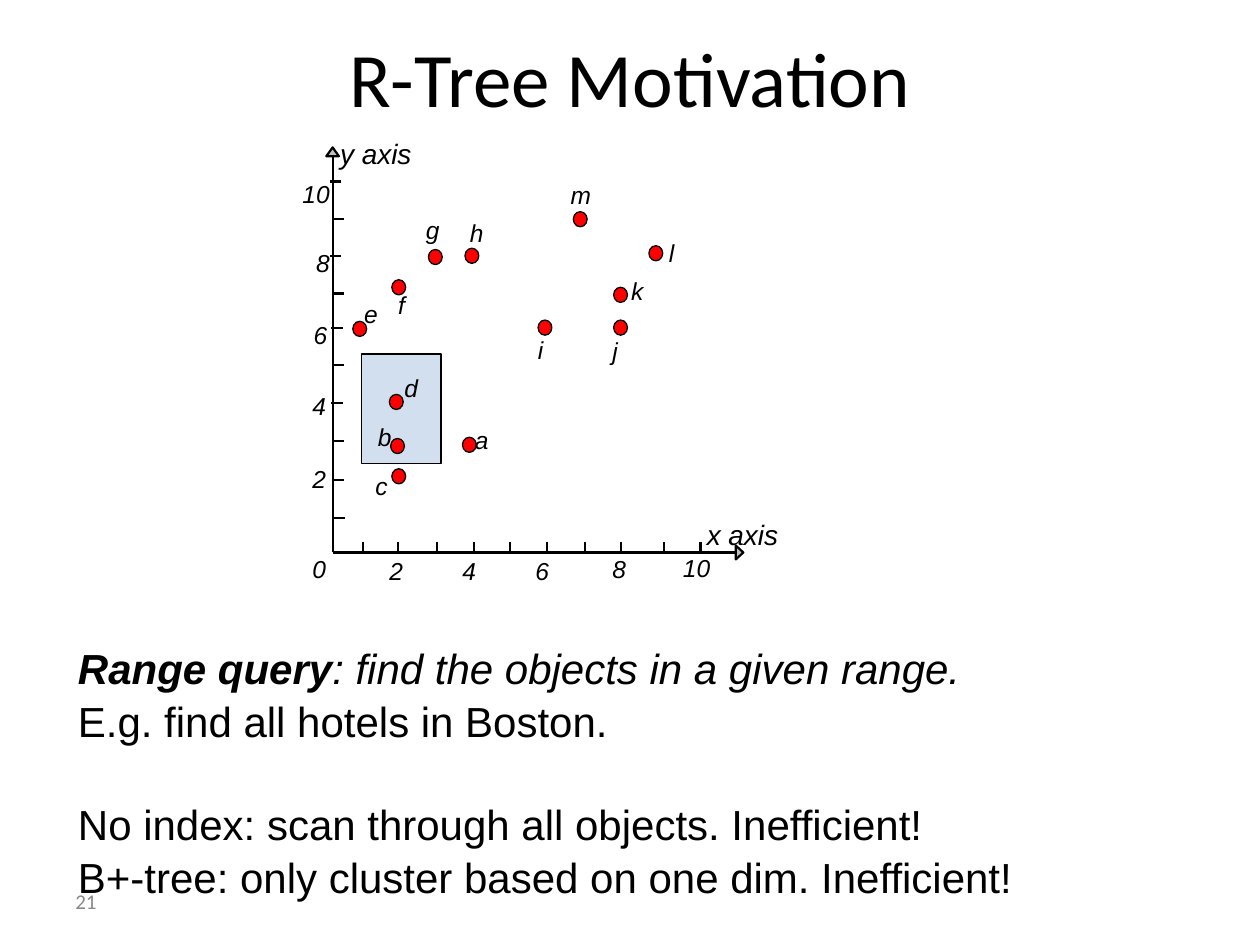
import pptx
import pptx.util
import pptx.dml.color
import pptx.enum.shapes
import pptx.enum.text
import pptx.oxml
import pptx.oxml.ns
from lxml import etree

RGBColor = pptx.dml.color.RGBColor
BLACK = RGBColor(0x00, 0x00, 0x00)
RED = RGBColor(0xFF, 0x00, 0x00)
BLUE = RGBColor(0x4F, 0x81, 0xBD)
SILVER = RGBColor(0xC0, 0xC0, 0xC0)
GREY = RGBColor(0x89, 0x89, 0x89)

COLUMNS, ROWS = 100, 75
AXIS_X, AXIS_Y = 26.4, 43.85
DOT_W, DOT_H = 1.1, 1.2

# name: dot left and top, label left, top and width
POINTS = {
    "a": (36.7, 34.7, 37.7, 33.7, 1.1),
    "b": (31.0, 34.8, 30.0, 33.5, 1.1),
    "c": (31.1, 37.2, 29.8, 37.4, 1.0),
    "d": (30.9, 31.3, 32.1, 29.6, 1.1),
    "e": (28.0, 25.5, 28.9, 23.7, 1.1),
    "f": (31.1, 22.2, 31.6, 23.0, 0.6),
    "g": (34.0, 19.8, 33.8, 17.1, 1.1),
    "h": (36.9, 19.7, 37.3, 17.3, 1.1),
    "i": (42.7, 25.4, 42.7, 26.6, 0.4),
    "j": (48.7, 25.4, 48.6, 26.7, 0.4),
    "k": (48.7, 22.8, 50.1, 21.9, 1.0),
    "l": (51.5, 19.5, 53.1, 18.9, 0.4),
    "m": (45.5, 16.8, 45.3, 14.3, 1.6),
}
X_TICKS = (28.8, 31.6, 34.7, 37.6, 40.5, 43.4, 46.45, 49.3, 52.7, 55.6)
# left end and height of each tick, from 1 to 10
Y_TICKS = ((26.5, 41.1), (26.4, 38.1), (26.4, 35.0), (26.3, 32.0), (26.4, 29.0),
           (26.3, 26.05), (26.4, 23.3), (26.2, 20.3), (26.4, 17.4), (26.2, 14.4))
X_NUMBERS = {0: (24.8, 44.0), 2: (30.9, 44.1), 4: (36.7, 44.1),
             6: (42.5, 44.1), 8: (48.6, 44.0), 10: (54.2, 43.9)}
Y_NUMBERS = {2: (24.8, 36.8), 4: (24.8, 31.0), 6: (24.9, 25.4),
             8: (25.1, 19.7), 10: (24.0, 14.2)}


class Sketch:
    """Draws on one slide, with lengths in grid columns and rows."""

    font = "Arial"
    line_width = 1.25

    def __init__(self, prs):
        self.s = prs.slides.add_slide(prs.slide_layouts[5])
        self.col = prs.slide_width / COLUMNS
        self.row = prs.slide_height / ROWS

    def at(self, *lengths):
        """Turns alternating column and row lengths into EMU."""
        return [round(n * (self.row if i % 2 else self.col))
                for i, n in enumerate(lengths)]

    def run(self, p, text, size, font=None, color=BLACK, bold=False, italic=False):
        r = p.add_run()
        r.text = text
        r.font.name, r.font.size = font or self.font, pptx.util.Pt(size)
        r.font.color.rgb, r.font.bold, r.font.italic = color, bold, italic

    def title(self, text, *box):
        sp = self.s.shapes.title
        sp.left, sp.top, sp.width, sp.height = self.at(*box)
        tf = sp.text_frame
        tf.vertical_anchor = pptx.enum.text.MSO_ANCHOR.MIDDLE
        tf.paragraphs[0].alignment = pptx.enum.text.PP_ALIGN.CENTER
        self.run(tf.paragraphs[0], text, 44, "Calibri")

    def text_box(self, *box, inset=True):
        tf = self.s.shapes.add_textbox(*self.at(*box)).text_frame
        tf.word_wrap = False
        if not inset:
            tf.margin_left = tf.margin_right = tf.margin_top = tf.margin_bottom = 0
        return tf

    def label(self, text, left, top, width, size=14):
        tf = self.text_box(left, top, width, size / 6, inset=False)
        tf.auto_size = pptx.enum.text.MSO_AUTO_SIZE.SHAPE_TO_FIT_TEXT
        self.run(tf.paragraphs[0], text, size, italic=True)

    def paint(self, sp, fill, width):
        sp.shadow.inherit = False
        sp.fill.solid()
        sp.fill.fore_color.rgb = fill
        sp.line.color.rgb = BLACK
        sp.line.width = pptx.util.Pt(width)

    def dot(self, left, top):
        sp = self.s.shapes.add_shape(pptx.enum.shapes.MSO_SHAPE.OVAL,
                                     *self.at(left, top, DOT_W, DOT_H))
        self.paint(sp, RED, 0)

    def range_box(self, *box, opacity):
        sp = self.s.shapes.add_shape(pptx.enum.shapes.MSO_SHAPE.RECTANGLE, *self.at(*box))
        self.paint(sp, BLUE, 0.75)
        clr = sp.fill._xPr.find(".//" + pptx.oxml.ns.qn("a:srgbClr"))
        etree.SubElement(clr, pptx.oxml.ns.qn("a:alpha"), val=str(opacity * 1000))

    def line(self, *ends):
        c = self.s.shapes.add_connector(pptx.enum.shapes.MSO_CONNECTOR.STRAIGHT,
                                        *self.at(*ends))
        c.line.color.rgb = BLACK
        c.line.width = pptx.util.Pt(self.line_width)
        etree.SubElement(c._element.spPr, pptx.oxml.ns.qn("a:effectLst"))

    def triangle(self, tip, *base):
        fb = self.s.shapes.build_freeform(*self.at(*tip))
        fb.add_line_segments([self.at(*corner) for corner in base])
        self.paint(fb.convert_to_shape(), SILVER, self.line_width)


def draw_axes(sk):
    sk.line(AXIS_X, AXIS_Y, 59, AXIS_Y)
    sk.triangle((59, 43.85), (58.4, 44.4), (58.4, 43.3))
    sk.line(AXIS_X, AXIS_Y, AXIS_X, 11.7)
    sk.triangle((26.4, 11.7), (26.9, 12.4), (25.9, 12.4))
    for x in X_TICKS:
        sk.line(x, 43, x, AXIS_Y)
    for left, y in Y_TICKS:
        sk.line(left + 0.9, y, left, y)
    for numbers in (X_NUMBERS, Y_NUMBERS):
        for n, corner in numbers.items():
            sk.label(str(n), *corner, 1.1 * len(str(n)))
    sk.label("x axis", 56.1, 41.1, 5.7, 16)
    sk.label("y axis", 27, 10.8, 5.7, 16)


def draw_notes(sk):
    tf = sk.text_box(5.2, 50.3, 76.2, 21)
    p = tf.paragraphs[0]
    sk.run(p, "Range query", 24, bold=True, italic=True)
    sk.run(p, ": find the objects in a given range.", 24, italic=True)
    for text, gap in (("E.g. find all hotels in Boston.", 0),
                      ("No index: scan through all objects. Inefficient!", 29),
                      ("B+-tree: only cluster based on one dim. Inefficient!", 0)):
        p = tf.add_paragraph()
        p.space_before = pptx.util.Pt(gap)
        sk.run(p, text, 24)
    for p in tf.paragraphs:
        p.line_spacing = 1.05


def main():
    prs = pptx.Presentation()
    prs.slide_width, prs.slide_height = pptx.util.Inches(10), pptx.util.Inches(7.5)
    sk = Sketch(prs)
    sk.title("R-Tree Motivation", 5, 3, 90, 6.2)
    sk.range_box(28.7, 28.1, 6.3, 8.7, opacity=25)
    draw_axes(sk)
    for name, (left, top, *label) in POINTS.items():
        sk.dot(left, top)
        sk.label(name, *label)
    draw_notes(sk)
    tf = sk.text_box(5, 69.5, 23.3, 4)
    tf.word_wrap = True
    tf.vertical_anchor = pptx.enum.text.MSO_ANCHOR.MIDDLE
    sk.run(tf.paragraphs[0], "21", 12, "Calibri", GREY)
    prs.save("out.pptx")


if __name__ == "__main__":
    main()
